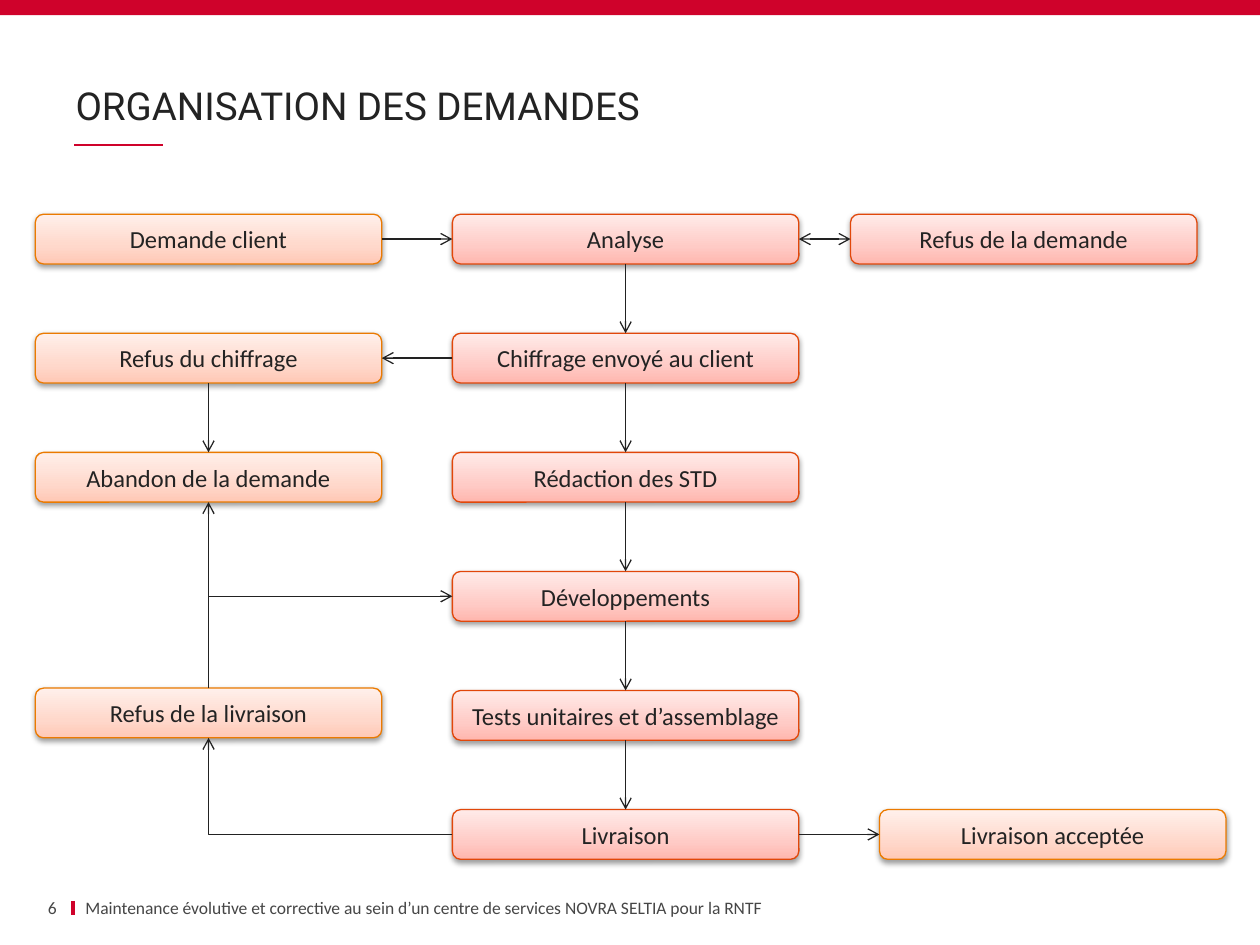
from copy import deepcopy

from lxml.etree import SubElement
from pptx import Presentation
from pptx.dml.color import RGBColor
from pptx.enum.shapes import MSO_CONNECTOR, MSO_SHAPE
from pptx.enum.text import MSO_ANCHOR, MSO_AUTO_SIZE, PP_ALIGN
from pptx.oxml.ns import qn
from pptx.util import Emu, Inches, Pt

COLORS = {"red": "CF022B", "title": "232323", "footer": "464646", "arrow": "222222",
          "client": "EB7A00", "team": "E1470A", "shadow": "000000"}
GRADIENTS = {"client": ["FFC8B5", "FFD8CB", "FFF0EB"],
             "team": ["FFB6AE", "FFCBC6", "FFEBE9"]}
STOPS = [0, 0.35, 1]

# Chart grid: steps are 0.945 apart, columns start at these lefts
STEP_WIDTH, STEP_HEIGHT, STEP_PITCH = 2.75, 0.395, 0.945
CLIENT_X, TEAM_X, REFUSAL_X, ACCEPTED_X = 0, 3.31, 6.47, 6.7
# label: (owner, left, row)
STEPS = {
    "Demande client": ("client", CLIENT_X, 0),
    "Analyse": ("team", TEAM_X, 0),
    "Refus de la demande": ("team", REFUSAL_X, 0),
    "Refus du chiffrage": ("client", CLIENT_X, 1),
    "Chiffrage envoyé au client": ("team", TEAM_X, 1),
    "Abandon de la demande": ("client", CLIENT_X, 2),
    "Rédaction des STD": ("team", TEAM_X, 2),
    "Développements": ("team", TEAM_X, 3),
    "Refus de la livraison": ("client", CLIENT_X, 3.98),
    "Tests unitaires et d’assemblage": ("team", TEAM_X, 4),
    "Livraison": ("team", TEAM_X, 5),
    "Livraison acceptée": ("client", ACCEPTED_X, 5),
}
TOP, LEFT, BOTTOM, RIGHT = range(4)  # connection sites of a rounded rectangle
SIDE_ARROWS = [
    ("Demande client", RIGHT, "Analyse", LEFT),
    ("Chiffrage envoyé au client", LEFT, "Refus du chiffrage", RIGHT),
    ("Refus du chiffrage", BOTTOM, "Abandon de la demande", TOP),
    ("Refus de la livraison", TOP, "Abandon de la demande", BOTTOM),
    ("Livraison", RIGHT, "Livraison acceptée", LEFT),
]


def color(name):
    return RGBColor.from_string(COLORS.get(name, name))


def write(frame, text, size=14, font="Calibri", ink="title", align=PP_ALIGN.LEFT,
          anchor=MSO_ANCHOR.MIDDLE, side=0.1, spacing=None):
    frame.word_wrap = True
    frame.auto_size = MSO_AUTO_SIZE.NONE
    frame.vertical_anchor = anchor
    frame.margin_left = frame.margin_right = Inches(side)
    frame.margin_top = frame.margin_bottom = Inches(0.05)
    para = frame.paragraphs[0]
    para.alignment = align
    para.line_spacing = spacing
    span = para.add_run()
    span.text = text
    span.font.size = Pt(size)
    span.font.name = font
    span.font.color.rgb = color(ink)


def add_line(page, start, end, ink, width, kind=MSO_CONNECTOR.STRAIGHT):
    line = page.shapes.add_connector(kind, *map(Inches, start + end))
    line.line.color.rgb = color(ink)
    line.line.width = Pt(width)
    SubElement(line.element.spPr, qn("a:effectLst"))
    return line


def add_step(page, label, owner, left, top):
    step = page.shapes.add_shape(MSO_SHAPE.ROUNDED_RECTANGLE, Inches(left), Inches(top),
                                 Inches(STEP_WIDTH), Inches(STEP_HEIGHT))
    # Three-stop gradient, lightest at the top
    step.fill.gradient()
    step.fill.gradient_angle = 90
    stop_list = step.element.spPr.find(".//" + qn("a:gsLst"))
    stop_list.append(deepcopy(stop_list[0]))
    for stop, position, shade in zip(step.fill.gradient_stops, STOPS, GRADIENTS[owner]):
        stop.position = position
        stop.color.rgb = color(shade)
    step.line.color.rgb = color(owner)
    step.line.width = Pt(0.75)
    # Soft shadow below
    step.shadow.inherit = False
    effects = step.element.spPr.find(qn("a:effectLst"))
    shadow = SubElement(effects, qn("a:outerShdw"), blurRad=str(Pt(3.1)), dist=str(Pt(1.6)),
                        dir="5400000", rotWithShape="0")
    shade = SubElement(shadow, qn("a:srgbClr"), val=COLORS["shadow"])
    SubElement(shade, qn("a:alpha"), val="38000")
    write(step.text_frame, label, align=PP_ALIGN.CENTER)
    return step


def add_arrow(page, source, source_site, target, target_site,
              both=False, kind=MSO_CONNECTOR.STRAIGHT):
    arrow = add_line(page, (0, 0), (1, 1), "arrow", 0.75, kind)
    arrow.begin_connect(source, source_site)
    arrow.end_connect(target, target_site)
    outline = arrow.element.spPr.find(qn("a:ln"))
    for end in ("a:headEnd", "a:tailEnd") if both else ("a:tailEnd",):
        SubElement(outline, qn(end), type="arrow")
    return arrow


def add_elbow(page, source, source_site, target, target_site, turn):
    """Draw a one-corner arrow, turned by 180 or 270 degrees."""
    elbow = add_arrow(page, source, source_site, target, target_site,
                      kind=MSO_CONNECTOR.ELBOW)
    middle_x = (elbow.begin_x + elbow.end_x) // 2
    middle_y = (elbow.begin_y + elbow.end_y) // 2
    width, height = elbow.width, elbow.height
    if turn == 270:
        width, height = height, width
    elbow.element.spPr.find(qn("a:prstGeom")).set("prst", "bentConnector2")
    frame = elbow.element.spPr.find(qn("a:xfrm"))
    for flip in ("flipH", "flipV"):
        frame.attrib.pop(flip, None)
    frame.set("rot", str(turn * 60000))
    elbow.left, elbow.top = Emu(middle_x - width // 2), Emu(middle_y - height // 2)
    elbow.width, elbow.height = width, height


def add_header(page, left, top, width, height):
    band = page.shapes.add_shape(MSO_SHAPE.RECTANGLE, 0, 0, Inches(10), Inches(0.12))
    band.fill.solid()
    band.fill.fore_color.rgb = color("red")
    band.line.fill.background()
    band.shadow.inherit = False
    title = page.shapes.title
    title.left, title.top = Inches(left), Inches(top)
    title.width, title.height = Inches(width), Inches(height)
    write(title.text_frame, "ORGANISATION DES DEMANDES", size=22, font="Roboto",
          anchor=MSO_ANCHOR.BOTTOM, side=0, spacing=0.9)
    rule_y = top + height + 0.08
    add_line(page, (left - 0.01, rule_y), (left + 0.69, rule_y), "red", 1)


def add_flow(page, left, top):
    steps = {label: add_step(page, label, owner, left + x, top + row * STEP_PITCH)
             for label, (owner, x, row) in STEPS.items()}
    # Main path down the team column
    path = [label for label, (_, x, _) in STEPS.items() if x == TEAM_X]
    for upper, lower in zip(path, path[1:]):
        add_arrow(page, steps[upper], BOTTOM, steps[lower], TOP)
    # Exchanges with the client
    for source, source_site, target, target_site in SIDE_ARROWS:
        add_arrow(page, steps[source], source_site, steps[target], target_site)
    add_arrow(page, steps["Refus de la demande"], LEFT, steps["Analyse"], RIGHT, both=True)
    add_elbow(page, steps["Refus de la livraison"], TOP, steps["Développements"], LEFT, 270)
    add_elbow(page, steps["Livraison"], LEFT, steps["Refus de la livraison"], BOTTOM, 180)


def add_footer(page, left, top, height):
    add_line(page, (left, top + 0.04), (left, top + 0.15), "red", 2.25)
    number = page.shapes.add_textbox(Inches(left - 0.45), Inches(top),
                                     Inches(0.32), Inches(height))
    write(number.text_frame, "6", size=10, ink="footer", align=PP_ALIGN.RIGHT, side=0)
    caption = page.shapes.add_textbox(Inches(left), Inches(top), Inches(7.17), Inches(height))
    write(caption.text_frame, "Maintenance évolutive et corrective au sein d’un centre de "
          "services NOVRA SELTIA pour la RNTF", size=10, ink="footer")


def main():
    deck = Presentation()
    deck.slide_width, deck.slide_height = Inches(10), Inches(7.5)
    page = deck.slides.add_slide(deck.slide_layouts[5])
    add_header(page, 0.6, 0.21, 8.8, 0.86)
    add_flow(page, 0.28, 1.7)
    add_footer(page, 0.58, 7.11, 0.18)
    deck.save("out.pptx")


if __name__ == "__main__":
    main()
